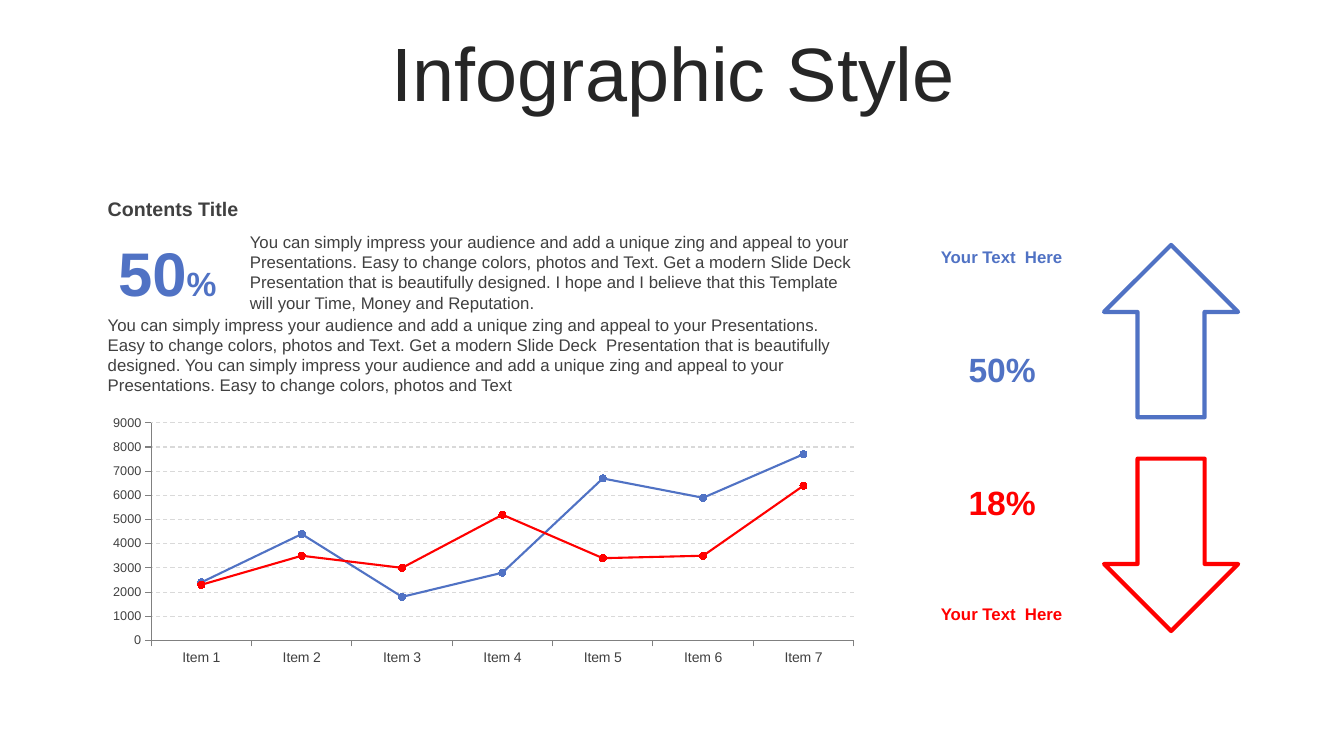
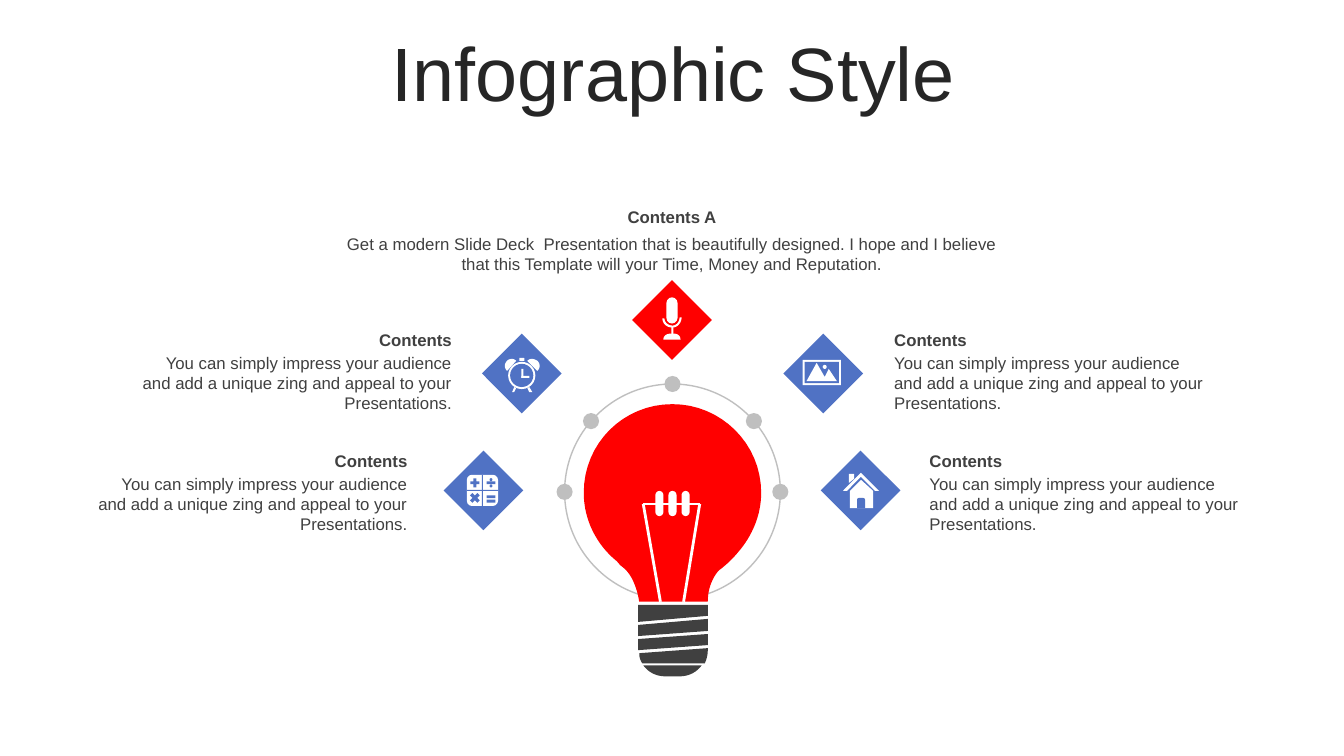
import math

import pptx
import pptx.chart.data
import pptx.dml.color
import pptx.enum.chart
import pptx.enum.dml
import pptx.enum.shapes
import pptx.enum.text
import pptx.oxml
import pptx.util

Inches, Pt = pptx.util.Inches, pptx.util.Pt
RGBColor = pptx.dml.color.RGBColor
SHAPE = pptx.enum.shapes.MSO_SHAPE
ALIGN = pptx.enum.text.PP_ALIGN
ANCHOR = pptx.enum.text.MSO_ANCHOR

BLUE = RGBColor(0x50, 0x72, 0xC4)
RED = RGBColor(0xFF, 0x00, 0x00)
WHITE = RGBColor(0xFF, 0xFF, 0xFF)
INK = RGBColor(0x26, 0x26, 0x26)
DARK = RGBColor(0x40, 0x40, 0x40)
AXIS = RGBColor(0x80, 0x80, 0x80)
SILVER = RGBColor(0xBF, 0xBF, 0xBF)
GRID = RGBColor(0xD9, 0xD9, 0xD9)
FONT = "Arial"

TITLE = "Infographic Style"
IMPRESS = "You can simply impress your audience and add a unique zing and appeal to your Presentations."
EASY = "Easy to change colors, photos and Text"
MODERN = "Get a modern Slide Deck  Presentation that is beautifully designed."
HOPE = "I hope and I believe that this Template will your Time, Money and Reputation."

ITEMS = [f"Item {number}" for number in range(1, 8)]
SERIES = [
    ("Series 1", BLUE, (2400, 4400, 1800, 2800, 6700, 5900, 7700)),
    ("Series 2", RED, (2300, 3500, 3000, 5200, 3400, 3500, 6400)),
]
# value, colour, arrow top, rotation, value top, caption top
TRENDS = [
    ("50%", BLUE, 2.43, 0, 3.41, 2.4),
    ("18%", RED, 4.55, 180, 4.73, 5.94),
]

# heading, body, left, top, width, body offset, alignment
CALLOUTS = [
    ("Contents A", f"{MODERN} {HOPE}", 3.21, 2, 6.91, 0.27, ALIGN.CENTER),
    ("Contents", IMPRESS, 1.3, 3.22, 3.28, 0.23, ALIGN.RIGHT),
    ("Contents", IMPRESS, 0.86, 4.42, 3.28, 0.23, ALIGN.RIGHT),
    ("Contents", IMPRESS, 8.77, 3.22, 3.28, 0.23, ALIGN.LEFT),
    ("Contents", IMPRESS, 9.12, 4.42, 3.28, 0.23, ALIGN.LEFT),
]
DIAMONDS = [(6.27, 2.78, RED), (4.78, 3.31, BLUE), (7.77, 3.31, BLUE),
            (4.4, 4.47, BLUE), (8.14, 4.47, BLUE)]
DIAMOND_SIZE = 0.79
RING_CENTER, RING_RADIUS = (6.67, 4.88), 1.07
DOT_ANGLES, DOT_SIZE = (0, 41, 90, 139, 180), 0.16

# An outline lists points; six numbers are a Bezier curve (two controls, end).
BULB = [
    (6.67, 4.01), (7.15, 4.01, 7.55, 4.4, 7.55, 4.89), (7.55, 5.11, 7.46, 5.32, 7.32, 5.48),
    (7.27, 5.54, 7.21, 5.6, 7.13, 5.66), (7.13, 5.66, 7.02, 5.77, 7.02, 5.97), (6.34, 5.97),
    (6.34, 5.97, 6.31, 5.73, 6.18, 5.63), (6.18, 5.63, 6.15, 5.61, 6.12, 5.57),
    (5.92, 5.41, 5.79, 5.16, 5.79, 4.89), (5.79, 4.4, 6.18, 4.01, 6.67, 4.01),
]
SCREW_BASE = [
    [(6.33, 6), (7.02, 6), (7.02, 6.11), (6.33, 6.17)],
    [(7.02, 6.14), (7.02, 6.26), (6.33, 6.31), (6.33, 6.2)],
    [(7.02, 6.29), (7.02, 6.4), (6.33, 6.45), (6.33, 6.34)],
    [(7.02, 6.43), (7.02, 6.45), (7.02, 6.49, 7.01, 6.54, 6.99, 6.58), (6.37, 6.58),
     (6.35, 6.55, 6.34, 6.52, 6.34, 6.48)],
    [(6.38, 6.6), (6.96, 6.6), (6.91, 6.67, 6.83, 6.71, 6.74, 6.71), (6.6, 6.71),
     (6.51, 6.71, 6.43, 6.67, 6.38, 6.6)],
]
FILAMENT = [((6.38, 5), (6.55, 5.97)), ((6.94, 5), (6.78, 5.97)), ((6.38, 5), (6.94, 5))]
COIL_LEFTS = (6.5, 6.63, 6.76)

# Icon parts, back to front: preset, left, top, width, height, colour
MICROPHONE = [
    (SHAPE.ROUNDED_RECTANGLE, 6.61, 2.95, 0.11, 0.26, WHITE),
    (SHAPE.RECTANGLE, 6.66, 3.24, 0.02, 0.08, WHITE),
]
CLOCK = [
    (SHAPE.OVAL, 5.04, 3.59, 0.27, 0.27, WHITE),
    (SHAPE.OVAL, 5.06, 3.61, 0.23, 0.23, BLUE),
    (SHAPE.RECTANGLE, 5.17, 3.66, 0.02, 0.09, WHITE),
    (SHAPE.RECTANGLE, 5.17, 3.73, 0.08, 0.02, WHITE),
    (SHAPE.ROUND_2_SAME_RECTANGLE, 5.15, 3.55, 0.05, 0.03, WHITE),
]
LANDSCAPE = [
    (SHAPE.RECTANGLE, 7.96, 3.57, 0.38, 0.25, WHITE),
    (SHAPE.RECTANGLE, 7.98, 3.59, 0.34, 0.21, BLUE),
    (SHAPE.OVAL, 8.16, 3.62, 0.04, 0.04, WHITE),
]
CALCULATOR = [
    (SHAPE.ROUNDED_RECTANGLE, 4.63, 4.71, 0.31, 0.31, WHITE),
    (SHAPE.RECTANGLE, 4.78, 4.71, 0.01, 0.31, BLUE),
    (SHAPE.RECTANGLE, 4.63, 4.86, 0.31, 0.01, BLUE),
    (SHAPE.MATH_PLUS, 4.65, 4.73, 0.12, 0.12, BLUE),
    (SHAPE.MATH_DIVIDE, 4.81, 4.73, 0.12, 0.12, BLUE),
    (SHAPE.MATH_MULTIPLY, 4.64, 4.87, 0.14, 0.14, BLUE),
    (SHAPE.MATH_EQUAL, 4.81, 4.89, 0.12, 0.12, BLUE),
]
ICON_OUTLINES = [
    # microphone cradle and foot
    [(6.76, 3.15), (6.76, 3.2, 6.72, 3.25, 6.67, 3.25), (6.61, 3.25, 6.57, 3.21, 6.57, 3.16),
     (6.59, 3.16), (6.59, 3.2, 6.63, 3.23, 6.67, 3.23), (6.71, 3.23, 6.74, 3.19, 6.74, 3.15)],
    [(6.58, 3.37), (6.58, 3.34, 6.6, 3.31, 6.66, 3.31), (6.68, 3.31),
     (6.73, 3.31, 6.75, 3.34, 6.75, 3.37)],
    # clock bells and feet
    [(5.12, 3.58), (5.03, 3.68), (5, 3.65, 5, 3.61, 5.03, 3.58), (5.05, 3.56, 5.09, 3.55, 5.12, 3.58)],
    [(5.23, 3.58), (5.26, 3.55, 5.3, 3.56, 5.33, 3.58), (5.36, 3.61, 5.36, 3.65, 5.33, 3.68)],
    [(5.1, 3.84), (5.12, 3.85), (5.1, 3.89), (5.08, 3.89)],
    [(5.25, 3.84), (5.28, 3.89), (5.25, 3.89), (5.23, 3.85)],
    # mountains
    [(8, 3.78), (8.1, 3.6), (8.18, 3.74), (8.22, 3.66), (8.3, 3.78)],
    # house roof, chimney and walls
    [(8.36, 4.87), (8.54, 4.69), (8.72, 4.87), (8.68, 4.87), (8.54, 4.73), (8.4, 4.87)],
    [(8.42, 4.7), (8.47, 4.7), (8.47, 4.75), (8.42, 4.79)],
    [(8.54, 4.76), (8.66, 4.87), (8.66, 5.04), (8.43, 5.04), (8.43, 4.87)],
]
DOOR = (SHAPE.ROUND_2_SAME_RECTANGLE, 8.5, 4.94, 0.08, 0.1, BLUE)


def box(*lengths):
    return [Inches(length) for length in lengths]


def style_run(run, size, color, bold=False):
    run.font.name = FONT
    run.font.size = Pt(size)
    run.font.bold = bold
    run.font.color.rgb = color


def add_titled_slide(deck):
    slide = deck.slides.add_slide(deck.slide_layouts[5])
    title = slide.shapes.title
    title.left, title.top, title.width, title.height = box(0.35, 0.37, 12.66, 0.79)
    frame = title.text_frame
    frame.auto_size = pptx.enum.text.MSO_AUTO_SIZE.NONE
    frame.vertical_anchor = ANCHOR.MIDDLE
    paragraph = frame.paragraphs[0]
    paragraph.alignment = ALIGN.CENTER
    paragraph.line_spacing = 0.9
    run = paragraph.add_run()
    run.text = TITLE
    style_run(run, 54, INK)
    return slide


def add_text(slide, place, runs, color=DARK, bold=False, align=ALIGN.LEFT, anchor=ANCHOR.TOP):
    """Add a one-paragraph text box; runs are (text, size) pairs."""
    frame = slide.shapes.add_textbox(*box(*place)).text_frame
    frame.word_wrap = True
    frame.vertical_anchor = anchor
    paragraph = frame.paragraphs[0]
    paragraph.alignment = align
    for text, size in runs:
        run = paragraph.add_run()
        run.text = text
        style_run(run, size, color, bold)


def paint(shape, fill=None, line=None, weight=1):
    shape.shadow.inherit = False
    if fill is None:
        shape.fill.background()
    else:
        shape.fill.solid()
        shape.fill.fore_color.rgb = fill
    if line is None:
        shape.line.fill.background()
    else:
        shape.line.color.rgb = line
        shape.line.width = Pt(weight)
    return shape


def add_preset(slide, preset, left, top, width, height, fill=None, line=None, weight=1):
    shape = slide.shapes.add_shape(preset, *box(left, top, width, height))
    return paint(shape, fill, line, weight)


def add_outline(slide, outline, fill, steps=16):
    """Draw a closed outline, sampling its Bezier curves."""
    points = [outline[0]]
    for part in outline[1:]:
        if len(part) == 2:
            points.append(part)
            continue
        start = points[-1]
        for step in range(1, steps + 1):
            t = step / steps
            u = 1 - t
            points.append(tuple(
                u ** 3 * start[axis] + 3 * u * u * t * part[axis]
                + 3 * u * t * t * part[axis + 2] + t ** 3 * part[axis + 4]
                for axis in (0, 1)))
    builder = slide.shapes.build_freeform(*box(*points[0]))
    builder.add_line_segments([box(*point) for point in points[1:]], close=True)
    paint(builder.convert_to_shape(), fill)


def add_white_line(slide, start, end):
    line = slide.shapes.add_connector(
        pptx.enum.shapes.MSO_CONNECTOR.STRAIGHT, *box(*start, *end))
    line.line.color.rgb = WHITE
    line.line.width = Pt(2)
    line._element.spPr.append(pptx.oxml.parse_xml(
        '<a:effectLst xmlns:a="http://schemas.openxmlformats.org/drawingml/2006/main"/>'))


def add_line_chart(slide):
    data = pptx.chart.data.CategoryChartData()
    data.categories = ITEMS
    for name, _, values in SERIES:
        data.add_series(name, values)
    chart = slide.shapes.add_chart(
        pptx.enum.chart.XL_CHART_TYPE.LINE_MARKERS, *box(0.97, 4.07, 7.65, 2.59), data).chart
    chart.has_title = chart.has_legend = False
    chart.font.name = FONT
    chart.plots[0].vary_by_categories = False
    for series, (_, color, _) in zip(chart.plots[0].series, SERIES):
        series.smooth = False
        series.format.line.color.rgb = color
        series.format.line.width = Pt(1.5)
        series.marker.style = pptx.enum.chart.XL_MARKER_STYLE.CIRCLE
        series.marker.size = 5
        series.marker.format.fill.solid()
        series.marker.format.fill.fore_color.rgb = color
        series.marker.format.line.color.rgb = color
    for axis, size in ((chart.category_axis, 10), (chart.value_axis, 9)):
        axis.tick_labels.font.name = FONT
        axis.tick_labels.font.size = Pt(size)
        axis.tick_labels.font.color.rgb = DARK
        axis.major_tick_mark = pptx.enum.chart.XL_TICK_MARK.OUTSIDE
        axis.format.line.color.rgb = AXIS
        axis.format.line.width = Pt(0.75)
    values = chart.value_axis
    values.minimum_scale, values.maximum_scale, values.major_unit = 0, 9000, 1000
    grid = values.major_gridlines.format.line
    grid.color.rgb = GRID
    grid.width = Pt(0.75)
    grid.dash_style = pptx.enum.dml.MSO_LINE.DASH


def build_trend_slide(deck):
    slide = add_titled_slide(deck)
    add_text(slide, (0.97, 1.9, 2.75, 0.34), [("Contents Title", 14)], bold=True)
    add_text(slide, (0.97, 2.28, 1.38, 0.84), [("50", 44), ("%", 24)], BLUE, True,
             ALIGN.CENTER, ANCHOR.MIDDLE)
    add_text(slide, (2.38, 2.25, 6.23, 0.91), [(f"{IMPRESS} {EASY}. {MODERN} {HOPE}", 12)])
    add_text(slide, (0.97, 3.07, 7.65, 0.91),
             [(f"{IMPRESS} {EASY}. {MODERN} {IMPRESS} {EASY}", 12)])
    add_line_chart(slide)
    for value, color, arrow_top, rotation, value_top, caption_top in TRENDS:
        arrow = add_preset(slide, SHAPE.UP_ARROW, 10.95, arrow_top, 1.33, 1.71,
                           line=color, weight=3)
        arrow.rotation = rotation
        add_text(slide, (9.43, value_top, 1.02, 0.5), [(value, 24)], color, True,
                 ALIGN.CENTER, ANCHOR.MIDDLE)
        add_text(slide, (9.1, caption_top, 1.67, 0.3), [("Your Text  Here", 12)], color, True,
                 ALIGN.CENTER)


def build_bulb_slide(deck):
    slide = add_titled_slide(deck)
    for heading, body, left, top, width, offset, align in CALLOUTS:
        add_text(slide, (left, top, width, 0.3), [(heading, 12)], bold=True, align=align)
        add_text(slide, (left, top + offset, width, 0.71), [(body, 12)], align=align)

    center_x, center_y = RING_CENTER
    add_preset(slide, SHAPE.OVAL, center_x - RING_RADIUS, center_y - RING_RADIUS,
               2 * RING_RADIUS, 2 * RING_RADIUS, line=SILVER)
    add_outline(slide, BULB, RED)
    for band in SCREW_BASE:
        add_outline(slide, band, DARK)
    for start, end in FILAMENT:
        add_white_line(slide, start, end)
    for left in COIL_LEFTS:
        coil = add_preset(slide, SHAPE.ROUNDED_RECTANGLE, left, 4.87, 0.08, 0.25, WHITE)
        coil.adjustments[0] = 0.5
    for angle in map(math.radians, DOT_ANGLES):
        add_preset(slide, SHAPE.OVAL, center_x + RING_RADIUS * math.cos(angle) - DOT_SIZE / 2,
                   center_y - RING_RADIUS * math.sin(angle) - DOT_SIZE / 2,
                   DOT_SIZE, DOT_SIZE, SILVER)

    for left, top, color in DIAMONDS:
        add_preset(slide, SHAPE.DIAMOND, left, top, DIAMOND_SIZE, DIAMOND_SIZE, color)
    for icon in (MICROPHONE, CLOCK, LANDSCAPE, CALCULATOR):
        parts = [add_preset(slide, *part) for part in icon]
        if icon is MICROPHONE:
            parts[0].adjustments[0] = 0.5
    for outline in ICON_OUTLINES:
        add_outline(slide, outline, WHITE)
    door = add_preset(slide, *DOOR)
    door.adjustments[0] = 0.25


def main():
    deck = pptx.Presentation()
    deck.slide_width, deck.slide_height = box(13.33, 7.5)
    build_trend_slide(deck)
    build_bulb_slide(deck)
    deck.save("out.pptx")


if __name__ == "__main__":
    main()
